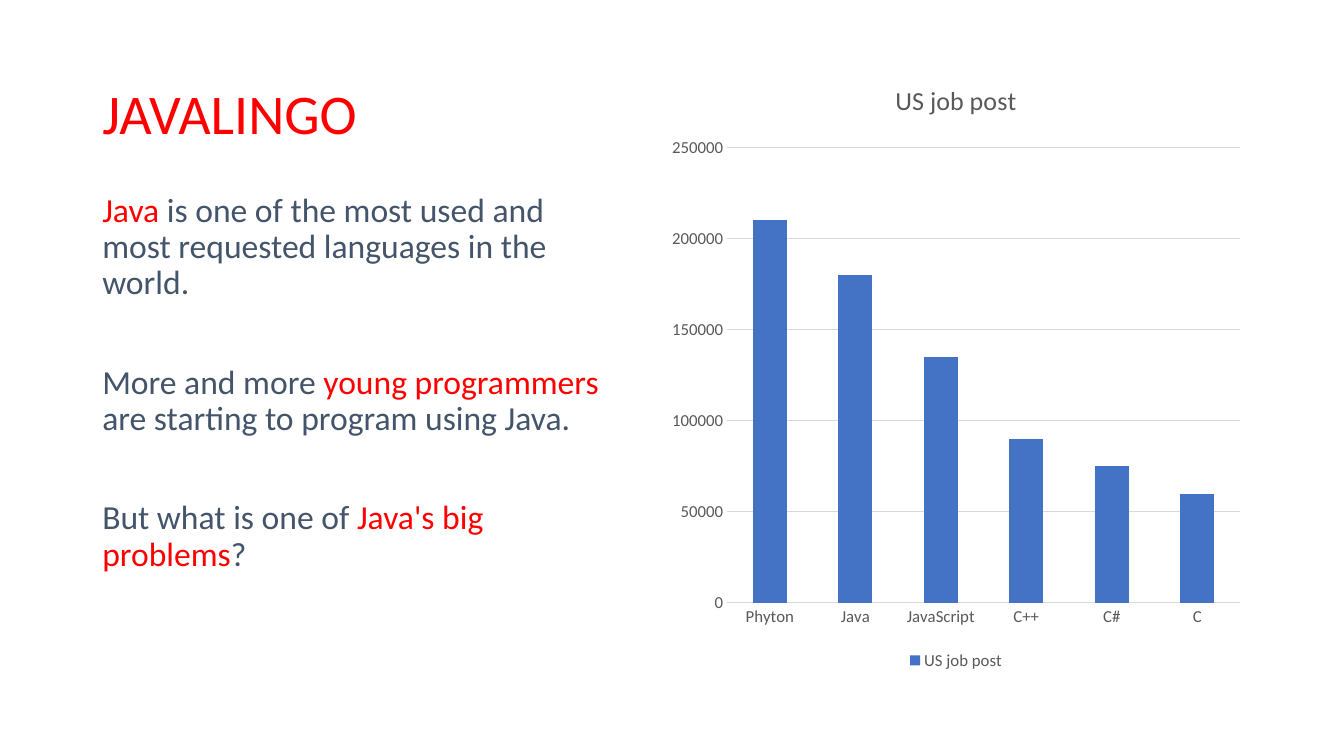
from dataclasses import dataclass

from pptx import Presentation
from pptx import util as u
from pptx.chart import data as cd
from pptx.dml.color import RGBColor
from pptx.enum import chart as ch, text


@dataclass(frozen=True)
class Theme:
    font: str = "Calibri"
    red: str = "FF0000"
    slate: str = "44546A"
    gray: str = "595959"
    grid: str = "D9D9D9"
    blue: str = "4472C4"
    head: float = 40
    body: float = 24
    label: float = 12
    chart: float = 18.6


THEME = Theme()
LEFT, TOP, WIDTH = 66, 42.5, 376.5

# Each paragraph is a list of (words, is stressed).
BODY = [
    [("Java ", True),
     ("is one of the most used and most requested languages in the world.", False)],
    [("More and more ", False), ("young programmers ", True),
     ("are starting to program using Java.", False)],
    [("But what is one of ", False), ("Java's big problems", True), ("?", False)],
]
JOBS = {"Phyton": 210000, "Java": 180000, "JavaScript": 135000,
        "C++": 90000, "C#": 75000, "C": 60000}


def style(font, size, color):
    font.name = THEME.font
    font.size = u.Pt(size)
    font.bold = False
    font.color.rgb = RGBColor.from_string(color)


def place(shape, left, top, width, height):
    shape.left, shape.top = u.Pt(left), u.Pt(top)
    shape.width, shape.height = u.Pt(width), u.Pt(height)


def add_title(slide, words):
    title = slide.shapes.title
    place(title, LEFT, TOP, WIDTH, 65.5)
    frame = title.text_frame
    frame.text = words
    frame.auto_size = text.MSO_AUTO_SIZE.NONE
    frame.vertical_anchor = text.MSO_ANCHOR.BOTTOM
    para = frame.paragraphs[0]
    para.alignment = text.PP_ALIGN.LEFT
    para.line_spacing = 0.9
    style(para.runs[0].font, THEME.head, THEME.red)


def add_body(slide, paras):
    box = slide.shapes.add_textbox(u.Pt(LEFT), u.Pt(134.6), u.Pt(WIDTH), u.Pt(309))
    frame = box.text_frame
    frame.word_wrap = True
    for i, parts in enumerate(paras):
        para = frame.add_paragraph() if i else frame.paragraphs[0]
        para.line_spacing = 0.9
        para.space_before = u.Pt(45 if i else 0)
        for words, stress in parts:
            run = para.add_run()
            run.text = words
            style(run.font, THEME.body, THEME.red if stress else THEME.slate)


def format_axis(axis):
    axis.major_tick_mark = axis.minor_tick_mark = ch.XL_TICK_MARK.NONE
    style(axis.tick_labels.font, THEME.label, THEME.gray)


def add_bars(slide, name, values):
    data = cd.CategoryChartData()
    data.categories = list(values)
    data.add_series(name, list(values.values()))
    chart = slide.shapes.add_chart(
        ch.XL_CHART_TYPE.COLUMN_CLUSTERED,
        u.Pt(471.6), u.Pt(TOP), u.Pt(422.6), u.Pt(439.2), data).chart
    style(chart.font, THEME.label, THEME.gray)

    chart.has_title = True
    frame = chart.chart_title.text_frame
    frame.text = name
    style(frame.paragraphs[0].runs[0].font, THEME.chart, THEME.gray)

    chart.has_legend = True
    chart.legend.position = ch.XL_LEGEND_POSITION.BOTTOM
    chart.legend.include_in_layout = False
    style(chart.legend.font, THEME.label, THEME.gray)

    format_axis(chart.category_axis)
    line = chart.category_axis.format.line
    line.color.rgb = RGBColor.from_string(THEME.grid)
    line.width = u.Pt(0.75)

    scale = chart.value_axis
    format_axis(scale)
    scale.minimum_scale, scale.maximum_scale, scale.major_unit = 0, 250000, 50000
    scale.format.line.fill.background()
    grid = scale.major_gridlines.format.line
    grid.color.rgb = RGBColor.from_string(THEME.grid)
    grid.width = u.Pt(0.75)

    plot = chart.plots[0]
    plot.gap_width = 150
    plot.vary_by_categories = False
    fill = plot.series[0].format.fill
    fill.solid()
    fill.fore_color.rgb = RGBColor.from_string(THEME.blue)


def main():
    deck = Presentation()
    deck.slide_width, deck.slide_height = u.Pt(960), u.Pt(540)
    slide = deck.slides.add_slide(deck.slide_layouts[5])
    add_title(slide, "JAVALINGO")
    add_body(slide, BODY)
    add_bars(slide, "US job post", JOBS)
    deck.save("out.pptx")


if __name__ == "__main__":
    main()
